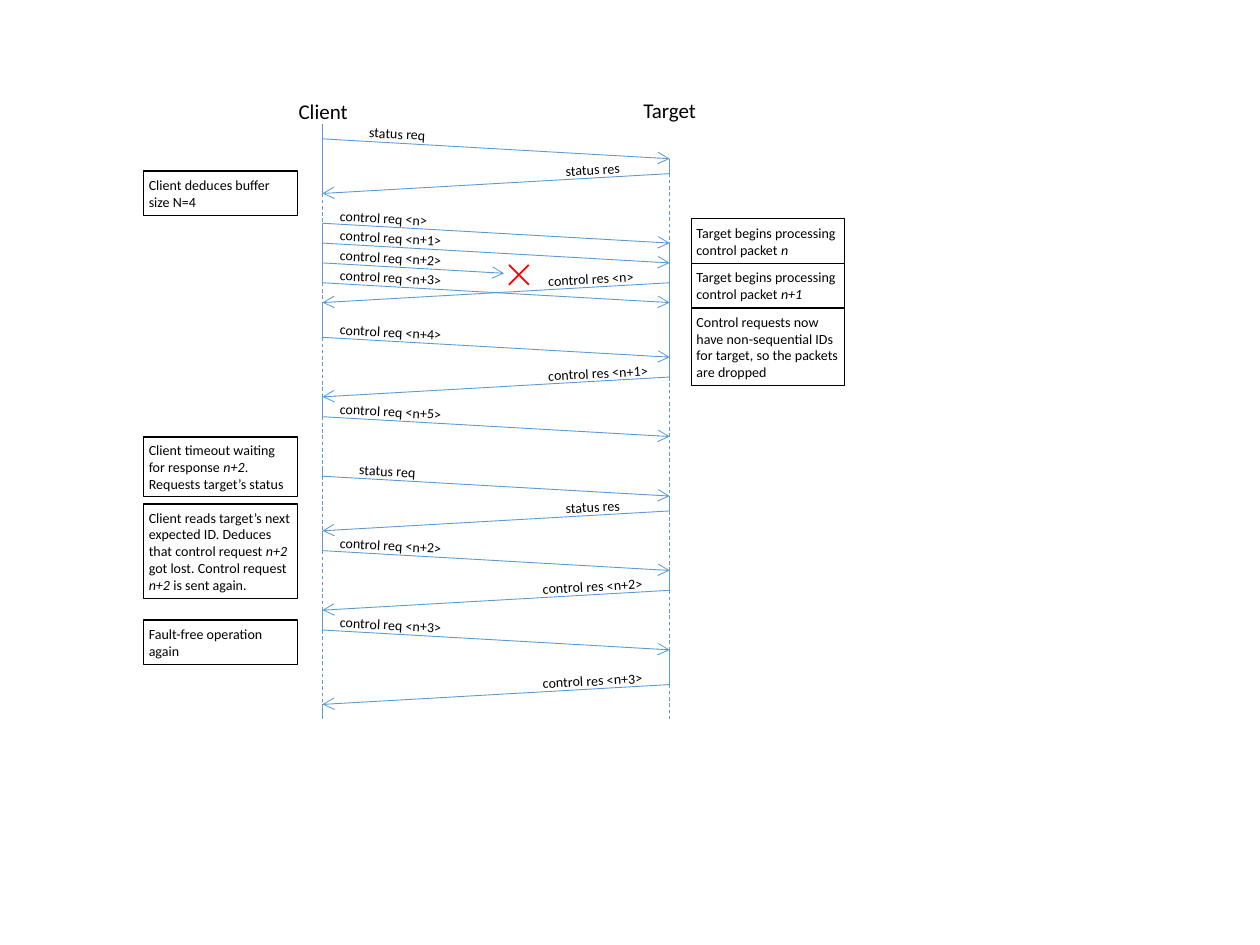
from itertools import cycle, pairwise

from lxml import etree
from pptx import Presentation
from pptx import util as u
from pptx.dml.color import RGBColor
from pptx.enum import dml, shapes, text
from pptx.oxml import ns

CLIENT_X, TARGET_X = 6.5, 13.5
SLOPE = 0.4  # drop of a message on its way across
LOST_X = 10.16


def colour(hex_string):
    return RGBColor.from_string(hex_string)


class SequenceDiagram:
    font = "Calibri"
    ink = "000000"
    blue = "5B9BD5"
    red = "FF0000"
    small = 8

    def __init__(self, slide):
        self.shapes = slide.shapes

    def line(self, x1, y1, x2, y2, hex_string=blue, weight=0.5, dashed=False, arrow=False):
        connector = self.shapes.add_connector(
            shapes.MSO_CONNECTOR.STRAIGHT, u.Cm(x1), u.Cm(y1), u.Cm(x2), u.Cm(y2))
        connector.line.color.rgb = colour(hex_string)
        connector.line.width = u.Pt(weight)
        if dashed:
            connector.line.dash_style = dml.MSO_LINE.DASH
        properties = connector._element.spPr
        if arrow:
            etree.SubElement(properties.find(ns.qn("a:ln")), ns.qn("a:tailEnd"), type="arrow")
        etree.SubElement(properties, ns.qn("a:effectLst"))

    def add_runs(self, frame, runs, size):
        """Add the runs to the frame; every second one is italic."""
        paragraph = frame.paragraphs[0]
        paragraph.alignment = text.PP_ALIGN.LEFT
        for words, italic in zip(runs, cycle((False, True))):
            run = paragraph.add_run()
            run.text = words
            run.font.name = self.font
            run.font.size = u.Pt(size)
            run.font.italic = italic
            run.font.color.rgb = colour(self.ink)

    def label(self, words, left, top, width, height=0.6, size=small, rotation=0):
        box = self.shapes.add_textbox(u.Cm(left), u.Cm(top), u.Cm(width), u.Cm(height))
        box.rotation = rotation
        box.text_frame.word_wrap = False
        box.text_frame.auto_size = text.MSO_AUTO_SIZE.SHAPE_TO_FIT_TEXT
        self.add_runs(box.text_frame, [words], size)

    def note(self, left, top, width, height, runs):
        box = self.shapes.add_shape(
            shapes.MSO_SHAPE.RECTANGLE, u.Cm(left), u.Cm(top), u.Cm(width), u.Cm(height))
        box.shadow.inherit = False
        box.fill.background()
        box.line.color.rgb = colour(self.ink)
        box.line.width = u.Pt(0.75)
        frame = box.text_frame
        frame.word_wrap = True
        frame.auto_size = text.MSO_AUTO_SIZE.SHAPE_TO_FIT_TEXT
        frame.margin_left = frame.margin_right = u.Cm(0.1)
        frame.margin_top = frame.margin_bottom = u.Cm(0.1)
        self.add_runs(frame, runs, self.small)

    def lifeline(self, x, turns):
        """Draw solid and dashed stretches in turn between the given heights."""
        for (start, end), dashed in zip(pairwise(turns), cycle((False, True))):
            self.line(x, start, x, end, dashed=dashed)

    def request(self, y, words, left, width, end_x=TARGET_X):
        drop = SLOPE * (end_x - CLIENT_X) / (TARGET_X - CLIENT_X)
        self.line(CLIENT_X, y, end_x, y + drop, arrow=True)
        self.label(words, left, y - 0.4, width, rotation=3)

    def response(self, y, words, left, width):
        self.line(TARGET_X, y, CLIENT_X, y + SLOPE, arrow=True)
        self.label(words, left, y - 0.38, width, rotation=357)

    def cross(self, left, top, size):
        right, bottom = left + size, top + size
        self.line(left, top, right, bottom, self.red, 1)
        self.line(right, top, left, bottom, self.red, 1)


CLIENT_TURNS = [2.5, 3.9, 4.5, 5.7, 6.1, 6.8, 8, 8.4, 9.4, 9.6, 10.7, 11.1, 12.3, 12.7, 14.2, 14.5]
TARGET_TURNS = [3.2, 3.5, 4.9, 7.6, 10, 10.3, 11.5, 11.9, 13.1, 13.8, 14.5]

# start height, wording, label left, label width
REQUESTS = [
    (2.8, "status req", 7.19, 1.73),
    (4.5, "control req <n>", 6.6, 2.29),
    (4.9, "control req <n+1>", 6.6, 2.6),
    (5.7, "control req <n+3>", 6.6, 2.6),
    (6.8, "control req <n+4>", 6.6, 2.6),
    (8.4, "control req <n+5>", 6.6, 2.6),
    (9.6, "status req", 6.99, 1.75),
    (11.1, "control req <n+2>", 6.6, 2.6),
    (12.7, "control req <n+3>", 6.6, 2.6),
]
RESPONSES = [
    (3.5, "status res", 11.15, 1.63),
    (5.7, "control res <n>", 10.8, 2.31),
    (7.6, "control res <n+1>", 10.8, 2.59),
    (10.3, "status res", 11.15, 1.63),
    (11.9, "control res <n+2>", 10.69, 2.54),
    (13.8, "control res <n+3>", 10.69, 2.54),
]

# top, height, runs
CLIENT_NOTES = [
    (3.45, 0.9, ["Client deduces buffer size N=4"]),
    (8.81, 1.2, ["Client timeout waiting for response ", "n+2", ". Requests target’s status"]),
    (10.16, 1.9, ["Client reads target’s next expected ID. Deduces that control request ", "n+2",
                  " got lost. Control request ", "n+2", " is sent again."]),
    (12.5, 0.9, ["Fault-free operation again"]),
]
TARGET_NOTES = [
    (4.41, 0.9, ["Target begins processing control packet ", "n"]),
    (5.31, 0.9, ["Target begins processing control packet ", "n+1"]),
    (6.21, 1.57, ["Control requests now have non-sequential IDs for target, "
                  "so the packets are dropped"]),
]


def main():
    deck = Presentation()
    deck.slide_width, deck.slide_height = u.Cm(25.4), u.Cm(19.05)
    diagram = SequenceDiagram(deck.slides.add_slide(deck.slide_layouts[6]))

    diagram.label("Client", 5.77, 1.86, 1.5, 0.77, size=12)
    diagram.label("Target", 12.72, 1.84, 1.57, 0.77, size=12)
    diagram.lifeline(CLIENT_X, CLIENT_TURNS)
    diagram.lifeline(TARGET_X, TARGET_TURNS)

    for message in REQUESTS:
        diagram.request(*message)
    diagram.request(5.3, "control req <n+2>", 6.6, 2.6, end_x=LOST_X)
    diagram.cross(10.26, 5.34, 0.4)
    for message in RESPONSES:
        diagram.response(*message)

    for top, height, runs in CLIENT_NOTES:
        diagram.note(2.9, top, 3.1, height, runs)
    for top, height, runs in TARGET_NOTES:
        diagram.note(13.94, top, 3.08, height, runs)

    deck.save("out.pptx")


if __name__ == "__main__":
    main()
